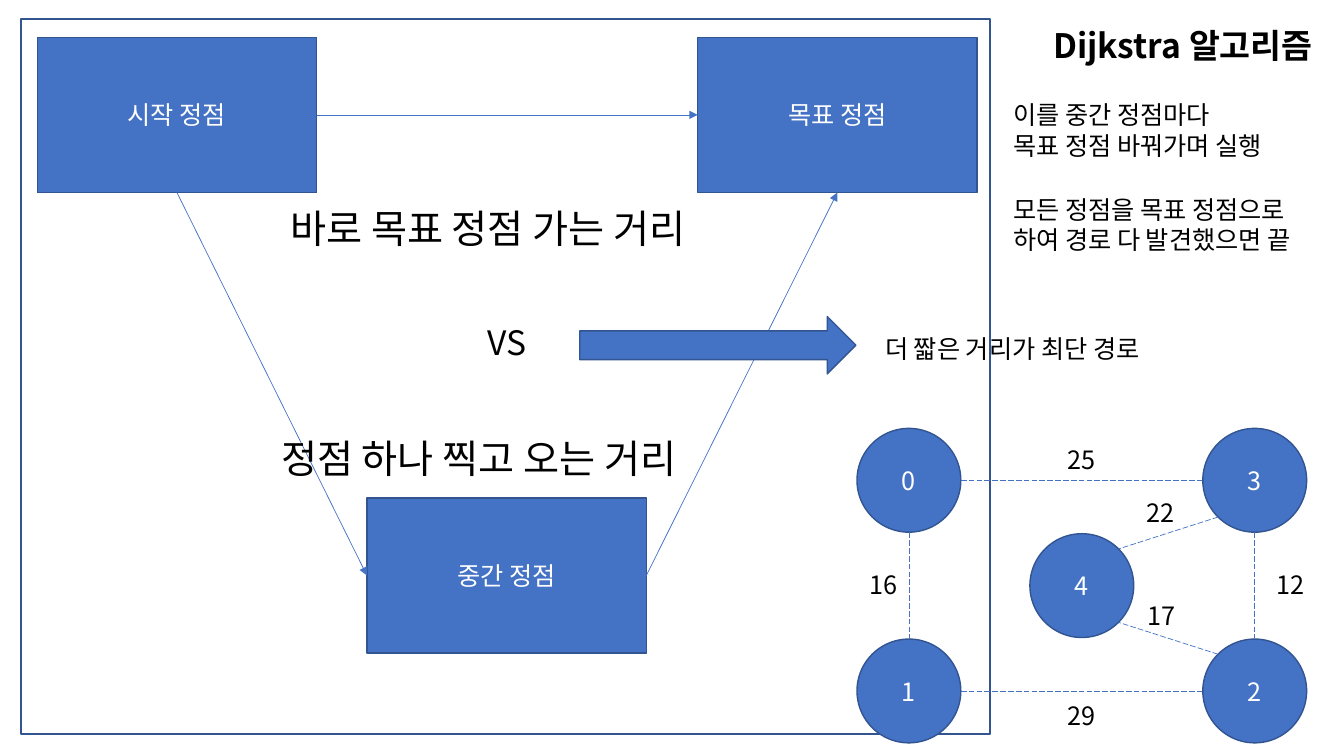
from math import cos, sin, radians
from lxml.etree import SubElement
from pptx import Presentation
from pptx.dml.color import RGBColor
from pptx.enum.dml import MSO_LINE
from pptx.enum.shapes import MSO_CONNECTOR, MSO_SHAPE
from pptx.enum.text import MSO_ANCHOR, PP_ALIGN
from pptx.oxml.ns import qn
from pptx.util import Inches, Pt

# Content
FONT = "Noto Sans CJK KR"
BLUE, EDGE, WHITE, BLACK = "4472C4", "325491", "FFFFFF", "000000"
TITLE = "Dijkstra 알고리즘"
BOXES = {  # name: (text, left, top)
    "start": ("시작 정점", 0.37, 0.37),
    "goal": ("목표 정점", 6.92, 0.37),
    "mid": ("중간 정점", 3.64, 4.94),
}
ROUTES = [  # from, side, to, side
    ("start", 3, "goal", 1),
    ("start", 2, "mid", 1),
    ("mid", 3, "goal", 2),
]
NOTES = [  # lines, size, left, top, width, height
    (["바로 목표 정점 가는 거리"], 28, 2.78, 1.97, 4.68, 0.57),
    (["정점 하나 찍고 오는 거리"], 28, 2.69, 4.25, 4.68, 0.57),
    (["VS"], 24, 4.74, 3.14, 0.59, 0.5),
    (["더 짧은 거리가 최단 경로"], 18, 8.68, 3.25, 3.08, 0.4),
    (["이를 중간 정점마다", "목표 정점 바꿔가며 실행"], 18, 9.95, 0.93, 2.99, 0.71),
    (["모든 정점을 목표 정점으로", "하여 경로 다 발견했으면 끝"], 18, 9.95, 1.87, 3.34, 0.71),
]
NODES = {"0": (0, 0), "1": (0, 2), "2": (2, 2), "3": (2, 0), "4": (1, 1)}  # column, row
EDGES = [  # from, angle, to, angle, weight, label left, label top
    ("0", 0, "3", 180, "25", 10.49, 4.35),
    ("0", 90, "1", 270, "16", 8.53, 5.59),
    ("3", 90, "2", 270, "12", 12.56, 5.59),
    ("1", 0, "2", 180, "29", 10.49, 6.89),
    ("3", 135, "4", 315, "22", 11.27, 4.88),
    ("2", 225, "4", 45, "17", 11.28, 5.9),
]
BOX_W, BOX_H = 2.77, 1.54
NODE_X, NODE_Y, COL, ROW, SIZE = 8.5, 4.25, 1.715, 1.045, 1.03


def color(code):
    return RGBColor.from_string(code)


def write(frame, lines, size, ink, align, bold=False, fixed=True):
    frame.word_wrap = True
    frame.text = "\n".join(lines)
    for para in frame.paragraphs:
        para.alignment = align
        para.space_before = Pt(0)
        if fixed:
            para.line_spacing = Pt(round(size * 1.22, 1))
        font = para.font
        font.name, font.size, font.bold = FONT, Pt(size), bold
        font.color.rgb = color(ink)
        props = para._p.get_or_add_pPr().find(qn("a:defRPr"))
        SubElement(props, qn("a:ea")).set("typeface", FONT)


def shape(home, kind, left, top, width, height, text="", fill=BLUE):
    item = home.add_shape(kind, *map(Inches, (left, top, width, height)))
    item.shadow.inherit = False
    if fill:
        item.fill.solid()
        item.fill.fore_color.rgb = color(fill)
    else:
        item.fill.background()
    item.line.color.rgb = color(EDGE)
    item.line.width = Pt(1)
    if text:
        item.text_frame.vertical_anchor = MSO_ANCHOR.MIDDLE
        write(item.text_frame, [text], 18, WHITE, PP_ALIGN.CENTER, fixed=False)
    return item


def label(home, lines, size, left, top, width, height):
    box = home.add_textbox(*map(Inches, (left, top, width, height)))
    write(box.text_frame, lines, size, BLACK, PP_ALIGN.LEFT)


def link(home, start=(0, 0), end=(0, 0)):
    line = home.add_connector(MSO_CONNECTOR.STRAIGHT, *map(Inches, (*start, *end)))
    line.line.color.rgb = color(BLUE)
    line.line.width = Pt(0.5)
    SubElement(line._element.spPr, qn("a:effectLst"))
    return line


def rim(name, angle):
    """Point on a node's circle, clockwise from the right."""
    col, row = NODES[name]
    turn, half = radians(angle), SIZE / 2
    return (NODE_X + col * COL + half * (1 + cos(turn)),
            NODE_Y + row * ROW + half * (1 + sin(turn)))


def main():
    deck = Presentation()
    deck.slide_width, deck.slide_height = Inches(13.33), Inches(7.5)
    slide = deck.slides.add_slide(deck.slide_layouts[5])
    parts = slide.shapes

    # Title
    title = parts.title
    title.left, title.top, title.width, title.height = map(Inches, (9.98, 0.19, 3.14, 0.5))
    title.text_frame.vertical_anchor = MSO_ANCHOR.TOP
    write(title.text_frame, [TITLE], 24, BLACK, PP_ALIGN.RIGHT, bold=True)

    # Frame, boxes and routes
    process = MSO_SHAPE.FLOWCHART_PROCESS
    shape(parts, process, 0.21, 0.19, 9.61, 7.09, fill=None)
    boxes = {name: shape(parts, process, left, top, BOX_W, BOX_H, text)
             for name, (text, left, top) in BOXES.items()}
    for start, out, end, into in ROUTES:
        route = link(parts)
        route.begin_connect(boxes[start], out)
        route.end_connect(boxes[end], into)
        SubElement(route.line._get_or_add_ln(), qn("a:tailEnd")).set("type", "triangle")

    # Graph
    graph = parts.add_group_shape().shapes
    for name, (col, row) in NODES.items():
        shape(graph, MSO_SHAPE.OVAL, NODE_X + col * COL, NODE_Y + row * ROW, SIZE, SIZE, name)
    for start, out, end, into, weight, left, top in EDGES:
        edge = link(graph, rim(start, out), rim(end, into))
        edge.line.dash_style = MSO_LINE.LONG_DASH
        label(graph, [weight], 18, left, top, 0.48, 0.4)

    # Arrow and notes
    shape(parts, MSO_SHAPE.RIGHT_ARROW, 5.75, 3.14, 2.74, 0.57)
    for note in NOTES:
        label(parts, *note)

    deck.save("out.pptx")


if __name__ == "__main__":
    main()
